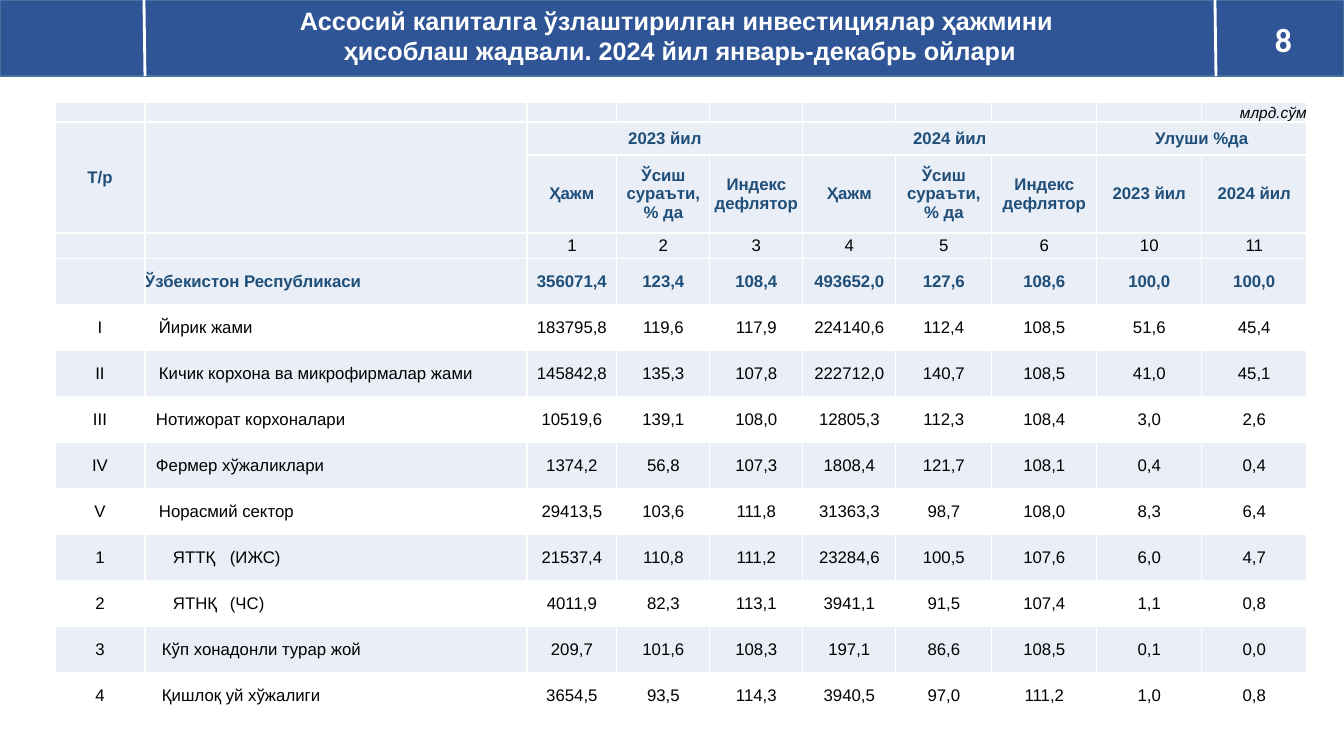
from dataclasses import dataclass

from lxml import etree
from pptx import Presentation
from pptx.dml.color import RGBColor
from pptx.enum.shapes import MSO_CONNECTOR, MSO_SHAPE
from pptx.enum.text import MSO_ANCHOR, MSO_AUTO_SIZE, PP_ALIGN
from pptx.oxml.ns import qn
from pptx.util import Emu, Pt

SLIDE_WIDTH, SLIDE_HEIGHT = 1344, 756
EMU_PER_PX = 12192000 / SLIDE_WIDTH
TITLE_ONLY = 5
LEFT, CENTER, RIGHT = PP_ALIGN.LEFT, PP_ALIGN.CENTER, PP_ALIGN.RIGHT
TOP, MIDDLE, BOTTOM = MSO_ANCHOR.TOP, MSO_ANCHOR.MIDDLE, MSO_ANCHOR.BOTTOM


@dataclass(frozen=True)
class Theme:
    banner: str = "2F5597"
    banner_edge: str = "43739E"
    band: str = "EAEFF7"
    heading: str = "1F4E79"
    body: str = "000000"
    white: str = "FFFFFF"
    font: str = "Arial"
    number_font: str = "Calibri"
    title_size: int = 18
    number_size: int = 24
    table_size: int = 12
    unit_size: int = 11
    blank_size: int = 8


THEME = Theme()


@dataclass(frozen=True)
class Entry:
    """A table row: its number, its label with indent, and its values."""
    number: str
    label: str
    values: str
    indent: int = 0
    bold: bool = False


@dataclass(frozen=True)
class Header:
    row: int
    column: int
    text: str
    rows: int = 1
    columns: int = 1


COLUMN_WIDTHS = (90, 382, 90, 93, 93, 93, 96, 105, 105, 105)
FIRST_ENTRY_ROW = 3
GROWTH, DEFLATOR = "Ўсиш сураъти,\v% да", "Индекс дефлятор"
MEASURES = ("Ҳажм", GROWTH, DEFLATOR) * 2 + ("2023 йил", "2024 йил")
HEADERS = (
    Header(1, 0, "Т/р", rows=2),
    Header(1, 1, "", rows=2),
    Header(1, 2, "2023 йил", columns=3),
    Header(1, 5, "2024 йил", columns=3),
    Header(1, 8, "Улуши %да", columns=2),
    *(Header(2, column, text) for column, text in enumerate(MEASURES, 2)),
)
ENTRIES = (
    Entry("", "", "1 2 3 4 5 6 10 11"),
    Entry("", "Ўзбекистон Республикаси",
          "356071,4 123,4 108,4 493652,0 127,6 108,6 100,0 100,0", bold=True),
    Entry("I", "Йирик жами",
          "183795,8 119,6 117,9 224140,6 112,4 108,5 51,6 45,4", 14),
    Entry("II", "Кичик корхона ва микрофирмалар жами",
          "145842,8 135,3 107,8 222712,0 140,7 108,5 41,0 45,1", 14),
    Entry("III", "Нотижорат корхоналари",
          "10519,6 139,1 108,0 12805,3 112,3 108,4 3,0 2,6", 11),
    Entry("IV", "Фермер хўжаликлари",
          "1374,2 56,8 107,3 1808,4 121,7 108,1 0,4 0,4", 11),
    Entry("V", "Норасмий сектор",
          "29413,5 103,6 111,8 31363,3 98,7 108,0 8,3 6,4", 14),
    Entry("1", "ЯТТҚ\t(ИЖС)",
          "21537,4 110,8 111,2 23284,6 100,5 107,6 6,0 4,7", 28),
    Entry("2", "ЯТНҚ\t(ЧС)",
          "4011,9 82,3 113,1 3941,1 91,5 107,4 1,1 0,8", 28),
    Entry("3", "Кўп хонадонли турар жой",
          "209,7 101,6 108,3 197,1 86,6 108,5 0,1 0,0", 17),
    Entry("4", "Қишлоқ уй хўжалиги",
          "3654,5 93,5 114,3 3940,5 97,0 111,2 1,0 0,8", 17),
)
ROW_HEIGHTS = (20, 33, 78, 26) + (46,) * (len(ENTRIES) - 1)
LABEL_TAB = 57


def px(length: int) -> Emu:
    return Emu(round(length * EMU_PER_PX))


def rgb(color: str) -> RGBColor:
    return RGBColor.from_string(color)


def write(frame, text: str, color: str, align=CENTER, **font_format) -> None:
    """Fill a text frame and format every run in it."""
    frame.text = text
    for paragraph in frame.paragraphs:
        paragraph.alignment = align
        for run in paragraph.runs:
            run.font.color.rgb = rgb(color)
            for attribute, value in font_format.items():
                setattr(run.font, attribute, value)


def add_divider(slide, x: int, height: int) -> None:
    divider = slide.shapes.add_connector(
        MSO_CONNECTOR.STRAIGHT, px(x), 0, px(x + 1), px(height))
    divider.line.color.rgb = rgb(THEME.white)
    divider.line.width = Pt(2)
    etree.SubElement(divider._element.spPr, qn("a:effectLst"))


def add_banner(slide) -> None:
    height = 76
    banner = slide.shapes.add_shape(
        MSO_SHAPE.RECTANGLE, 0, 0, px(SLIDE_WIDTH), px(height))
    banner.shadow.inherit = False
    banner.fill.solid()
    banner.fill.fore_color.rgb = rgb(THEME.banner)
    banner.line.color.rgb = rgb(THEME.banner_edge)
    banner.line.width = Pt(1)
    slide.shapes._spTree.insert(2, banner._element)  # behind the title

    title = slide.shapes.title
    number = slide.shapes.add_textbox(0, 0, 0, 0)
    places = ((title, (114, 0, 1132, 72), TOP), (number, (1242, 24, 83, 30), MIDDLE))
    for part, box, anchor in places:
        part.left, part.top, part.width, part.height = map(px, box)
        frame_format = {"word_wrap": True, "auto_size": MSO_AUTO_SIZE.NONE,
                        "vertical_anchor": anchor}
        for attribute, value in frame_format.items():
            setattr(part.text_frame, attribute, value)
    write(title.text_frame,
          "Ассосий капиталга ўзлаштирилган инвестициялар ҳажмини \v"
          "ҳисоблаш жадвали. 2024 йил январь-декабрь ойлари",
          THEME.white, name=THEME.font, size=Pt(THEME.title_size), bold=True)
    write(number.text_frame, "8", THEME.white,
          name=THEME.number_font, size=Pt(THEME.number_size), bold=True)
    for x in (1215, 144):
        add_divider(slide, x, height)


def prepare_cell(cell, shaded: bool) -> None:
    """Give a cell white borders, its band colour, no margins and a small blank line."""
    properties = cell._tc.get_or_add_tcPr()
    for side in ("a:lnL", "a:lnR", "a:lnT", "a:lnB"):
        border = etree.SubElement(properties, qn(side), w=str(Pt(1)))
        fill = etree.SubElement(border, qn("a:solidFill"))
        etree.SubElement(fill, qn("a:srgbClr"), val=THEME.white)
    if shaded:
        cell.fill.solid()
        cell.fill.fore_color.rgb = rgb(THEME.band)
    else:
        cell.fill.background()
    for side in ("left", "right", "top", "bottom"):
        setattr(cell, f"margin_{side}", 0)
    cell.vertical_anchor = MIDDLE
    etree.SubElement(cell.text_frame.paragraphs[0]._p, qn("a:endParaRPr"),
                     sz=str(THEME.blank_size * 100))


def write_cell(cell, text: str, color: str, align=CENTER,
               size: int = THEME.table_size, **font_format) -> None:
    if text:
        write(cell.text_frame, text, color, align,
              name=THEME.font, size=Pt(size), **font_format)


def add_tab_stop(cell, position: int) -> None:
    properties = cell.text_frame.paragraphs[0]._p.get_or_add_pPr()
    stops = etree.SubElement(properties, qn("a:tabLst"))
    etree.SubElement(stops, qn("a:tab"), pos=str(px(position)), algn="l")


def add_investment_table(slide) -> None:
    table = slide.shapes.add_table(
        len(ROW_HEIGHTS), len(COLUMN_WIDTHS), px(55), px(102),
        px(sum(COLUMN_WIDTHS)), px(sum(ROW_HEIGHTS))).table
    table.first_row = table.horz_banding = False
    for column, width in zip(table.columns, COLUMN_WIDTHS):
        column.width = px(width)
    for index, (row, height) in enumerate(zip(table.rows, ROW_HEIGHTS)):
        row.height = px(height)
        for cell in row.cells:
            prepare_cell(cell, index <= FIRST_ENTRY_ROW or index % 2 == 0)

    unit = table.cell(0, len(COLUMN_WIDTHS) - 1)
    unit.vertical_anchor = BOTTOM
    write_cell(unit, "млрд.сўм", THEME.body, RIGHT, THEME.unit_size, italic=True)
    for header in HEADERS:
        cell = table.cell(header.row, header.column)
        if header.rows * header.columns > 1:
            cell.merge(table.cell(header.row + header.rows - 1,
                                  header.column + header.columns - 1))
        write_cell(cell, header.text, THEME.heading, bold=True)
    for row, entry in enumerate(ENTRIES, FIRST_ENTRY_ROW):
        color = THEME.heading if entry.bold else THEME.body
        texts = (entry.number, entry.label, *entry.values.split())
        for column, text in enumerate(texts):
            align = LEFT if column == 1 else CENTER
            write_cell(table.cell(row, column), text, color, align, bold=entry.bold)
        label = table.cell(row, 1)
        label.margin_left = px(entry.indent)
        if "\t" in entry.label:
            add_tab_stop(label, LABEL_TAB)


def main() -> None:
    deck = Presentation()
    deck.slide_width, deck.slide_height = px(SLIDE_WIDTH), px(SLIDE_HEIGHT)
    slide = deck.slides.add_slide(deck.slide_layouts[TITLE_ONLY])
    add_banner(slide)
    add_investment_table(slide)
    deck.save("out.pptx")


if __name__ == "__main__":
    main()
